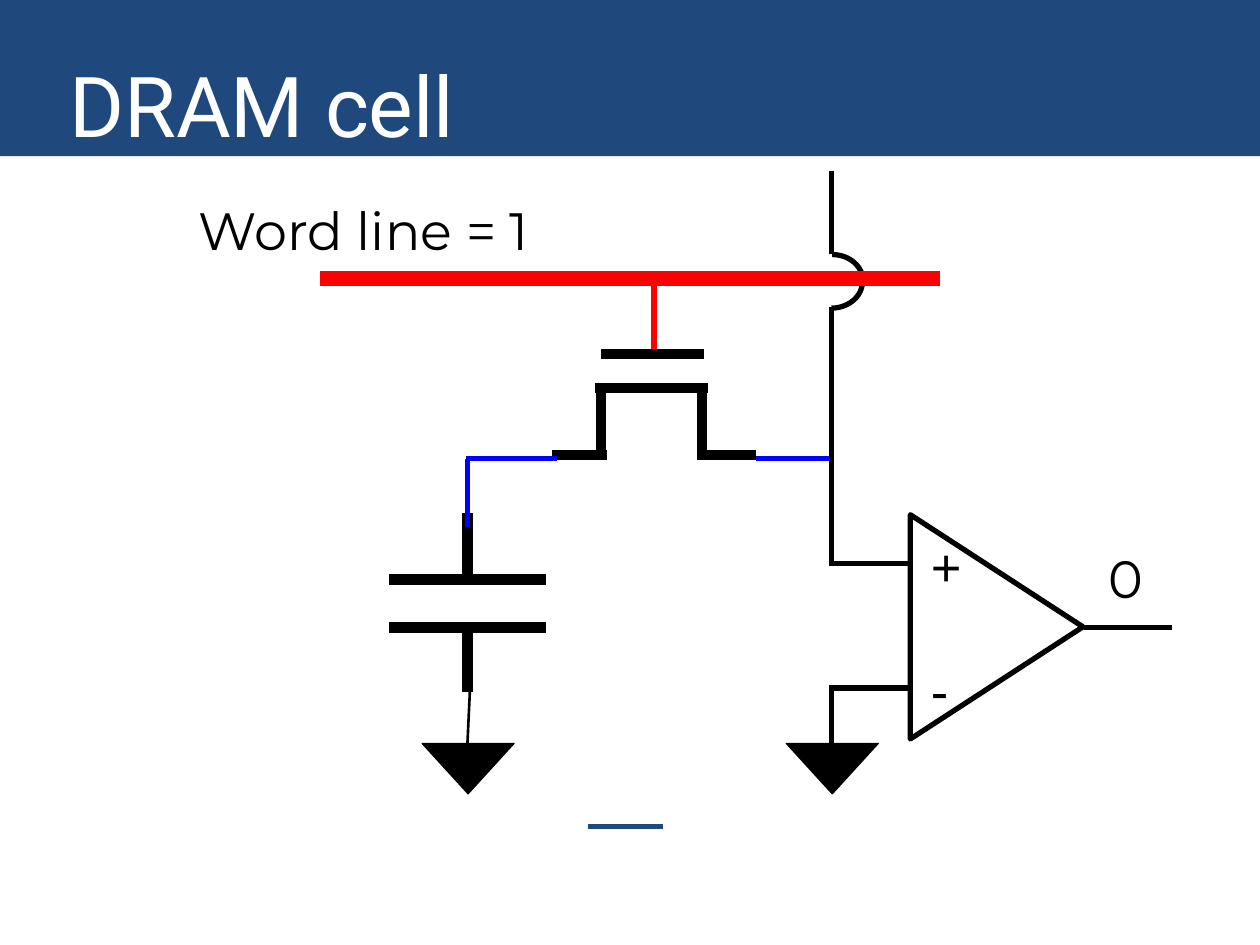
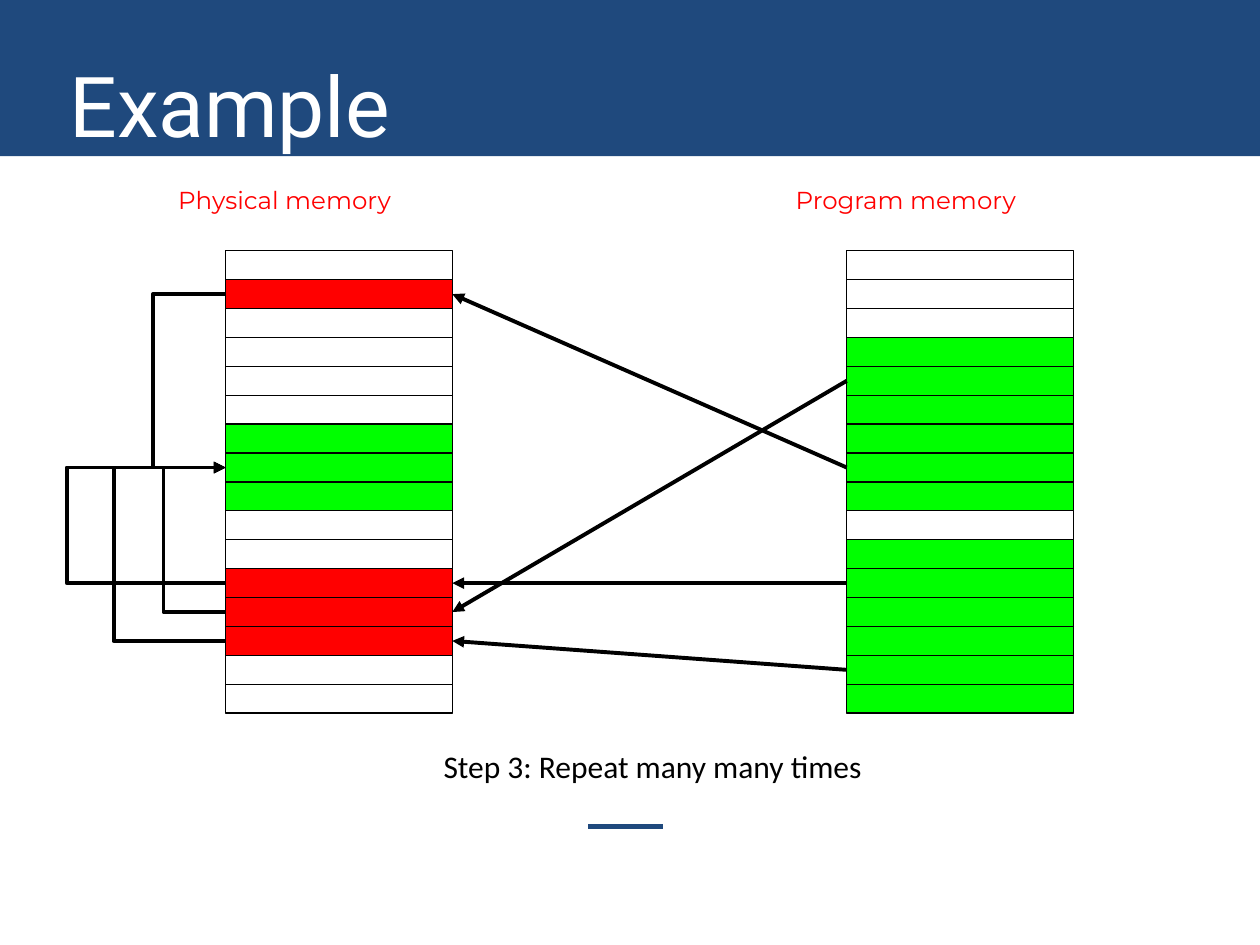
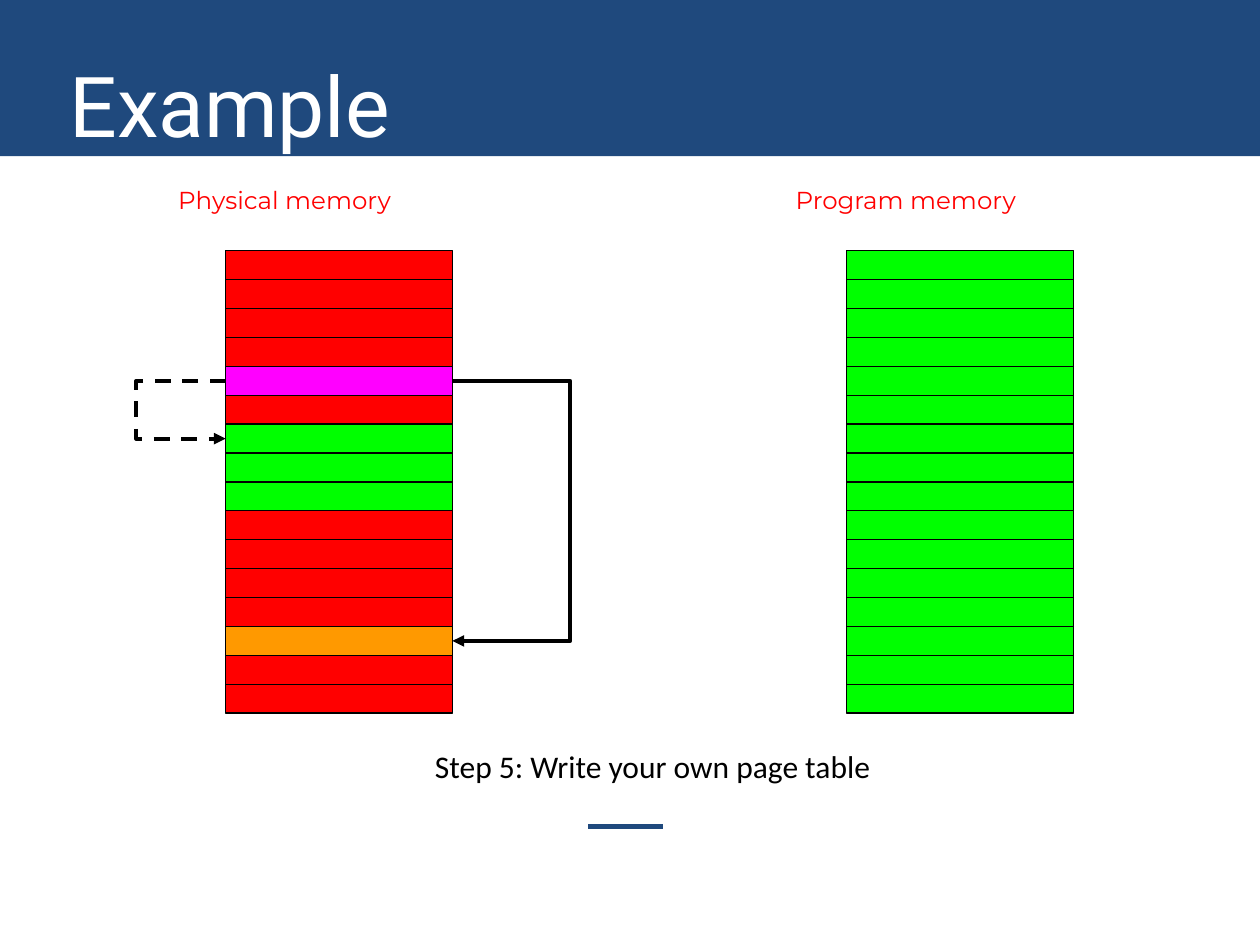
from lxml import etree
from pptx import Presentation
from pptx.dml.color import RGBColor
from pptx.enum.dml import MSO_LINE
from pptx.enum.shapes import MSO_CONNECTOR, MSO_SHAPE
from pptx.enum.text import MSO_ANCHOR, MSO_AUTO_SIZE, PP_ALIGN
from pptx.oxml.ns import qn
from pptx.util import Emu, Inches, Pt

NAVY = RGBColor(0x1F, 0x49, 0x7D)
WHITE = RGBColor(0xFF, 0xFF, 0xFF)
BLACK = RGBColor(0x00, 0x00, 0x00)
RED = RGBColor(0xFF, 0x00, 0x00)
GREEN = RGBColor(0x00, 0xFF, 0x00)
BLUE = RGBColor(0x00, 0x00, 0xFF)
MAGENTA = RGBColor(0xFF, 0x00, 0xFF)
ORANGE = RGBColor(0xFF, 0x99, 0x00)

STRAIGHT, ELBOW = MSO_CONNECTOR.STRAIGHT, MSO_CONNECTOR.ELBOW
RECTANGLE, TRIANGLE, ARC = MSO_SHAPE.RECTANGLE, MSO_SHAPE.ISOSCELES_TRIANGLE, MSO_SHAPE.ARC
LEFT, CENTER = PP_ALIGN.LEFT, PP_ALIGN.CENTER
TOP, MIDDLE = MSO_ANCHOR.TOP, MSO_ANCHOR.MIDDLE
NO_AUTOFIT = MSO_AUTO_SIZE.NONE
DASH = MSO_LINE.DASH

TITLE_ONLY = 5
LEFT_SIDE, RIGHT_SIDE = 1, 3
PAGE_COUNT = 16
MEMORY_TOP, MEMORY_HEIGHT = 1.99, 3.67
PAGE_WIDTH, PAGE_HEIGHT = 1.8, 0.23
PHYSICAL_LEFT, PROGRAM_LEFT = 1.79, 6.72
BEND_WIDTH = Emu(600)
PAGE_COLORS = {"-": None, "R": RED, "G": GREEN, "M": MAGENTA, "O": ORANGE}


class Deck:
    def __init__(self):
        self.presentation = Presentation()
        self.presentation.slide_width = Inches(10)
        self.presentation.slide_height = Inches(7.5)
        self.layout = self.presentation.slide_layouts[TITLE_ONLY]
        self.slide = None

    def add_slide(self, title):
        first = self.slide is None
        self.slide = self.presentation.slides.add_slide(self.layout)
        if first:
            self.add_shared_parts()
        heading = self.slide.shapes.title
        self.place(heading, 0.45, 0.42, 9.31, 0.81)
        self.fill_text(heading, [title], "Roboto", 48, WHITE, anchor=MIDDLE)

    def add_shared_parts(self):
        band = self.shape(RECTANGLE, 0, 0, 10, 1.24, fill=NAVY)
        footer_rule = self.line(4.67, 6.56, 5.26, 6.56, color=NAVY)
        for position, part in enumerate((band, footer_rule), 2):
            self.layout.shapes._spTree.insert(position, part._element)

    def place(self, target, left, top, width, height):
        frame = {"left": left, "top": top, "width": width, "height": height}
        for side, value in frame.items():
            setattr(target, side, Inches(value))

    def fill_text(self, target, lines, font, size, color, align=LEFT, anchor=TOP, gap=0):
        text_frame = target.text_frame
        text_frame.text = "\n".join(lines)
        margins = {f"margin_{side}": Inches(0.1) for side in ("left", "top", "right", "bottom")}
        frame_format = {"word_wrap": True, "auto_size": NO_AUTOFIT, "vertical_anchor": anchor, **margins}
        for name, value in frame_format.items():
            setattr(text_frame, name, value)
        for number, paragraph in enumerate(text_frame.paragraphs):
            paragraph.alignment = align
            paragraph.space_before = Pt(gap if number else 0)
            for run in paragraph.runs:
                for name, value in {"name": font, "size": Pt(size)}.items():
                    setattr(run.font, name, value)
                run.font.color.rgb = color

    def text(self, left, top, width, height, lines, font, size, color=BLACK, **layout):
        box = self.slide.shapes.add_textbox(*map(Inches, (left, top, width, height)))
        self.fill_text(box, lines, font, size, color, **layout)

    def shape(self, preset, left, top, width, height, fill=None, weight=None, rotation=0):
        shape = self.slide.shapes.add_shape(preset, *map(Inches, (left, top, width, height)))
        shape.shadow.inherit = False
        shape.rotation = rotation
        if fill is None:
            shape.fill.background()
        else:
            shape.fill.solid()
            shape.fill.fore_color.rgb = fill
        if weight is None:
            shape.line.fill.background()
        else:
            shape.line.color.rgb = BLACK
            shape.line.width = Pt(weight)
        return shape

    def style_connector(self, connector, color, weight, dash=None, arrow=False):
        connector.line.color.rgb = color
        connector.line.width = Pt(weight)
        if dash is not None:
            connector.line.dash_style = dash
        properties = connector._element.spPr
        if arrow:
            etree.SubElement(properties.find(qn("a:ln")), qn("a:tailEnd"), type="triangle")
        etree.SubElement(properties, qn("a:effectLst"))

    def line(self, x1, y1, x2, y2, color=BLACK, weight=3):
        connector = self.slide.shapes.add_connector(STRAIGHT, *map(Inches, (x1, y1, x2, y2)))
        self.style_connector(connector, color, weight)
        return connector

    def join(self, kind, source, source_side, target, target_side, dash=None):
        connector = self.slide.shapes.add_connector(kind, 0, 0, 0, 0)
        connector.begin_connect(source, source_side)
        connector.end_connect(target, target_side)
        self.style_connector(connector, BLACK, 2.25, dash, arrow=True)
        return connector

    def bend(self, source, target, side, reach, dash=None):
        connector = self.join(ELBOW, source, side, target, side, dash)
        edge = source.left + (source.width if side == RIGHT_SIDE else 0)
        frame = {
            "left": edge,
            "top": min(source.top, target.top) + source.height // 2,
            "width": BEND_WIDTH,
            "height": abs(target.top - source.top),
        }
        for name, value in frame.items():
            setattr(connector, name, value)
        properties = connector._element.spPr
        transform = properties.find(qn("a:xfrm"))
        for flip in ("flipH", "flipV"):
            transform.attrib.pop(flip, None)
        if target.top < source.top:
            transform.set("rot", "10800000")
            transform.set("flipH", "1")
        offset = Inches(reach) if side == RIGHT_SIDE else -Inches(reach)
        geometry = properties.find(qn("a:prstGeom"))
        guides = geometry.find(qn("a:avLst"))
        if guides is None:
            guides = etree.SubElement(geometry, qn("a:avLst"))
        amount = round(offset / BEND_WIDTH * 100000)
        etree.SubElement(guides, qn("a:gd"), name="adj1", fmla=f"val {amount}")

    def memory(self, left, label, pattern):
        pitch = MEMORY_HEIGHT / PAGE_COUNT
        pages = [
            self.shape(RECTANGLE, left, MEMORY_TOP + row * pitch, PAGE_WIDTH, PAGE_HEIGHT,
                       fill=PAGE_COLORS[code], weight=0.75)
            for row, code in enumerate(pattern)
        ]
        self.text(left - 0.78, 1.37, 2.5, 0.51, [label], "Montserrat", 14, RED, align=CENTER)
        return pages

    def memory_slide(self, physical_pattern, program_pattern, step):
        self.add_slide("Example")
        physical = self.memory(PHYSICAL_LEFT, "Physical memory", physical_pattern)
        program = self.memory(PROGRAM_LEFT, "Program memory", program_pattern)
        self.text(0.74, 5.83, 8.88, 0.58, [step], "Calibri", 18, align=CENTER)
        return physical, program


def dram_cell(deck):
    deck.add_slide("DRAM cell")
    deck.shape(ARC, 6.36, 2.02, 0.49, 0.42, weight=3)
    deck.shape(ARC, 6.39, 1.99, 0.42, 0.49, weight=3, rotation=90)

    bit_line = [(6.6, 2.02, 6.6, 1.36), (6.6, 2.44, 6.6, 4.49)]
    word_line = (2.54, 2.21, 7.46, 2.21)
    gate_lead = (5.19, 2.21, 5.19, 2.81)
    transistor = [
        (4.77, 2.81, 5.59, 2.81),
        (4.38, 3.61, 4.82, 3.61),
        (4.77, 3.63, 4.77, 3.1),
        (4.72, 3.08, 5.62, 3.08),
        (5.57, 3.05, 5.57, 3.6),
        (5.53, 3.61, 6, 3.61),
    ]
    capacitor = [
        (3.71, 4.07, 3.71, 4.6),
        (3.09, 4.6, 4.33, 4.6),
        (3.09, 4.98, 4.33, 4.98),
        (3.71, 5, 3.71, 5.49),
    ]
    cell_leads = [(6, 3.64, 6.59, 3.64), (4.42, 3.64, 3.7, 3.64), (3.71, 4.18, 3.71, 3.64)]
    amplifier_leads = [
        (6.6, 4.47, 7.23, 4.47),
        (6.59, 5.46, 7.22, 5.46),
        (6.6, 5.9, 6.6, 5.44),
        (8.6, 4.98, 9.3, 4.98),
    ]
    for wires, color, weight in (
        (bit_line, BLACK, 3),
        ([word_line], RED, 9),
        ([gate_lead], RED, 3),
        (transistor + capacitor, BLACK, 6),
        (cell_leads, BLUE, 3),
        ([(3.73, 5.47, 3.71, 5.9)], BLACK, 1.5),
        (amplifier_leads, BLACK, 3),
    ):
        for wire in wires:
            deck.line(*wire, color=color, weight=weight)

    for ground_left in (3.35, 6.24):
        deck.shape(TRIANGLE, ground_left, 5.9, 0.73, 0.4, fill=BLACK, weight=0.75, rotation=180)
    deck.shape(TRIANGLE, 7.02, 4.29, 1.78, 1.37, weight=3, rotation=90)
    deck.text(7.29, 4.21, 0.73, 1.54, ["+", "-"], "Arial", 30, anchor=MIDDLE, gap=34.5)
    deck.text(1.48, 1.47, 3.65, 0.74, ["Word line = 1"], "Montserrat", 30)
    deck.text(8.7, 4.23, 1.15, 0.74, ["0"], "Montserrat", 30)


def repeated_mapping(deck):
    physical, program = deck.memory_slide(
        "-R----GGG--RRR--", "---GGGGGG-GGGGGG", "Step 3: Repeat many many times")
    page_table = physical[7]
    for program_row, physical_row, reach in ((11, 11, 1.05), (7, 1, 0.48), (14, 13, 0.74), (4, 12, 0.41)):
        mapped = physical[physical_row]
        deck.join(STRAIGHT, program[program_row], LEFT_SIDE, mapped, RIGHT_SIDE)
        deck.bend(mapped, page_table, LEFT_SIDE, reach)


def own_page_table(deck):
    physical, _ = deck.memory_slide(
        "RRRRMRGGGRRRRORR", "G" * PAGE_COUNT, "Step 5: Write your own page table")
    deck.bend(physical[4], physical[6], LEFT_SIDE, 0.59, dash=DASH)
    deck.bend(physical[4], physical[13], RIGHT_SIDE, 0.78)


def main():
    deck = Deck()
    dram_cell(deck)
    repeated_mapping(deck)
    own_page_table(deck)
    deck.presentation.save("out.pptx")


if __name__ == "__main__":
    main()
